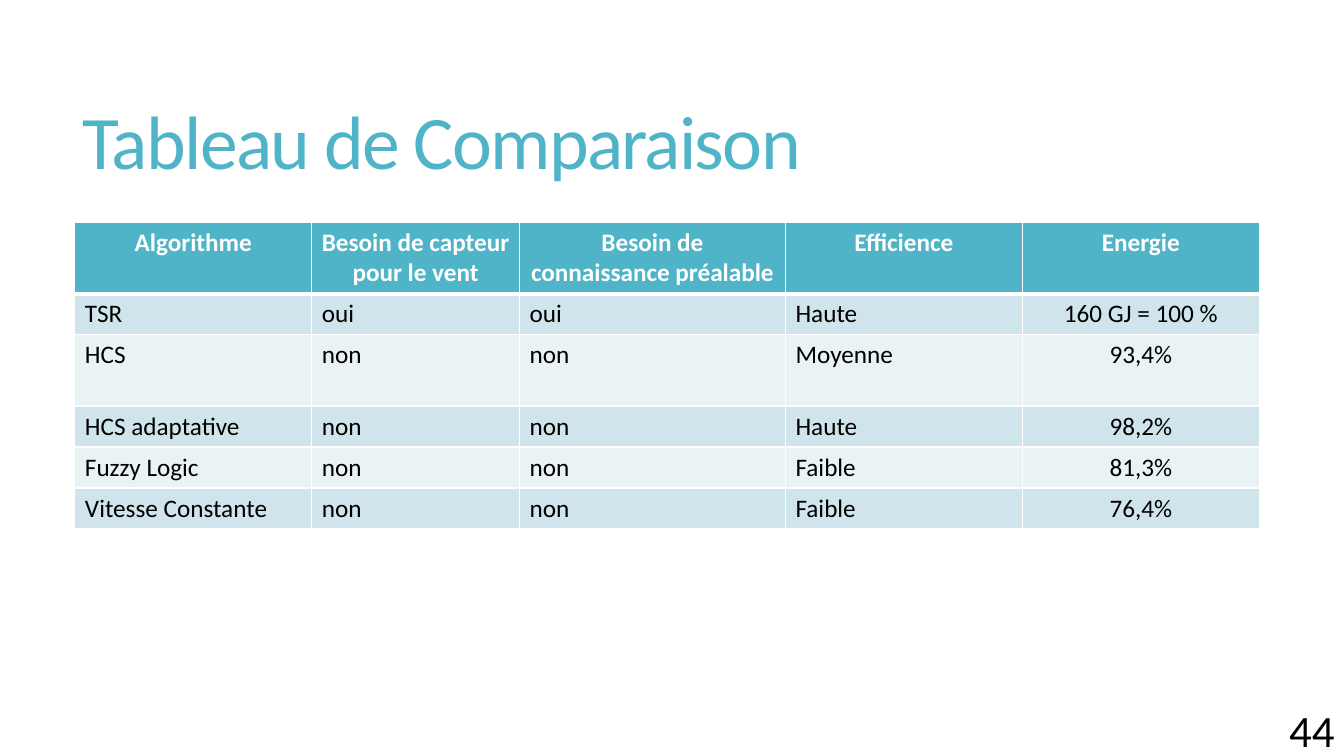
"""Build the slide that compares the control algorithms in a table."""
import pptx
import pptx.util
import pptx.dml.color
import pptx.enum.text
import pptx.oxml
import pptx.oxml.ns
from dataclasses import dataclass

Pt = pptx.util.Pt
RGB = pptx.dml.color.RGBColor.from_string
ALIGN = pptx.enum.text.PP_ALIGN
ANCHOR = pptx.enum.text.MSO_ANCHOR

HEADING = "Tableau de Comparaison"
PAGE_NUMBER = "44"
COMPARISON = [
    ("Algorithme", "Besoin de capteur pour le vent",
     "Besoin de connaissance préalable", "Efficience", "Energie"),
    ("TSR", "oui", "oui", "Haute", "160 GJ = 100 %"),
    ("HCS", "non", "non", "Moyenne", "93,4%"),
    ("HCS adaptative", "non", "non", "Haute", "98,2%"),
    ("Fuzzy Logic", "non", "non", "Faible", "81,3%"),
    ("Vitesse Constante", "non", "non", "Faible", "76,4%"),
]
COLUMN_WIDTHS = (169.2, 148.4, 190, 169.2, 169.2)
TALL_ROWS = {0, 2}
TALL_HEIGHT, ROW_HEIGHT = 51, 29.3
SLIDE_SIZE = (960, 540)
HEADING_BOX = (51.8, 39.6, 848.2, 130.3)
TABLE_CORNER = (53.5, 158.6)
PAGE_BOX = (730, 433.4, 230.4, 110.2)


@dataclass(frozen=True)
class Theme:
    """Colours, font and type sizes of the slide."""
    font: str = "Calibri"
    accent: str = "50B4C8"
    bands: tuple = ("E9F2F5", "D0E5EB")
    ink: str = "000000"
    paper: str = "FFFFFF"
    heading_size: int = 54
    cell_size: int = 18
    page_size: int = 32


THEME = Theme()


def apply(target, settings):
    """Set each attribute of the target from the settings."""
    for attribute, setting in settings.items():
        setattr(target, attribute, setting)


def write(frame, text, size, color, align=ALIGN.LEFT, bold=False):
    """Write one formatted paragraph and return it."""
    paragraph = frame.paragraphs[0]
    paragraph.alignment = align
    run = paragraph.add_run()
    run.text = text
    apply(run.font, {"name": THEME.font, "size": Pt(size), "bold": bold})
    run.font.color.rgb = RGB(color)
    return paragraph


def border(cell, side, width):
    """Draw one side of a cell in the paper colour."""
    cell._tc.get_or_add_tcPr().append(pptx.oxml.parse_xml(
        f'<a:{side} {pptx.oxml.ns.nsdecls("a")} w="{Pt(width)}"><a:solidFill>'
        f'<a:srgbClr val="{THEME.paper}"/></a:solidFill></a:{side}>'))


def add_heading(slide):
    """Place the heading in the title placeholder."""
    heading = slide.shapes.title
    apply(heading, dict(zip(("left", "top", "width", "height"), map(Pt, HEADING_BOX))))
    apply(heading.text_frame, {"word_wrap": True, "vertical_anchor": ANCHOR.MIDDLE,
                               "auto_size": pptx.enum.text.MSO_AUTO_SIZE.NONE})
    line = write(heading.text_frame, HEADING, THEME.heading_size, THEME.accent)
    line.line_spacing = 0.85
    line.runs[0].font._element.set("spc", "-120")


def add_comparison(slide):
    """Add the comparison table with its header and bands."""
    heights = [TALL_HEIGHT if row in TALL_ROWS else ROW_HEIGHT
               for row in range(len(COMPARISON))]
    extent = (sum(COLUMN_WIDTHS), sum(heights))
    comparison = slide.shapes.add_table(
        len(heights), len(COLUMN_WIDTHS), *map(Pt, TABLE_CORNER + extent)).table
    for column, width in zip(comparison.columns, COLUMN_WIDTHS):
        column.width = Pt(width)
    for row, entries in enumerate(COMPARISON):
        comparison.rows[row].height = Pt(heights[row])
        header = row == 0
        for column, entry in enumerate(entries):
            cell = comparison.cell(row, column)
            centred = header or column == len(entries) - 1
            write(cell.text_frame, entry, THEME.cell_size,
                  THEME.paper if header else THEME.ink,
                  ALIGN.CENTER if centred else ALIGN.LEFT, header)
            for side, width in (("lnL", 1), ("lnR", 1), ("lnT", 3 if row == 1 else 1),
                                ("lnB", 3 if header else 1)):
                border(cell, side, width)
            cell.fill.solid()
            cell.fill.fore_color.rgb = RGB(THEME.accent if header else THEME.bands[row % 2])


def add_page_number(slide):
    """Add the page number at the lower right."""
    frame = slide.shapes.add_textbox(*map(Pt, PAGE_BOX)).text_frame
    apply(frame, {"word_wrap": True, "vertical_anchor": ANCHOR.BOTTOM})
    write(frame, PAGE_NUMBER, THEME.page_size, THEME.ink, ALIGN.RIGHT)


def main():
    """Build and save the presentation."""
    deck = pptx.Presentation()
    apply(deck, dict(zip(("slide_width", "slide_height"), map(Pt, SLIDE_SIZE))))
    slide = deck.slides.add_slide(deck.slide_layouts[5])
    add_heading(slide)
    add_comparison(slide)
    add_page_number(slide)
    deck.save("out.pptx")


if __name__ == "__main__":
    main()
